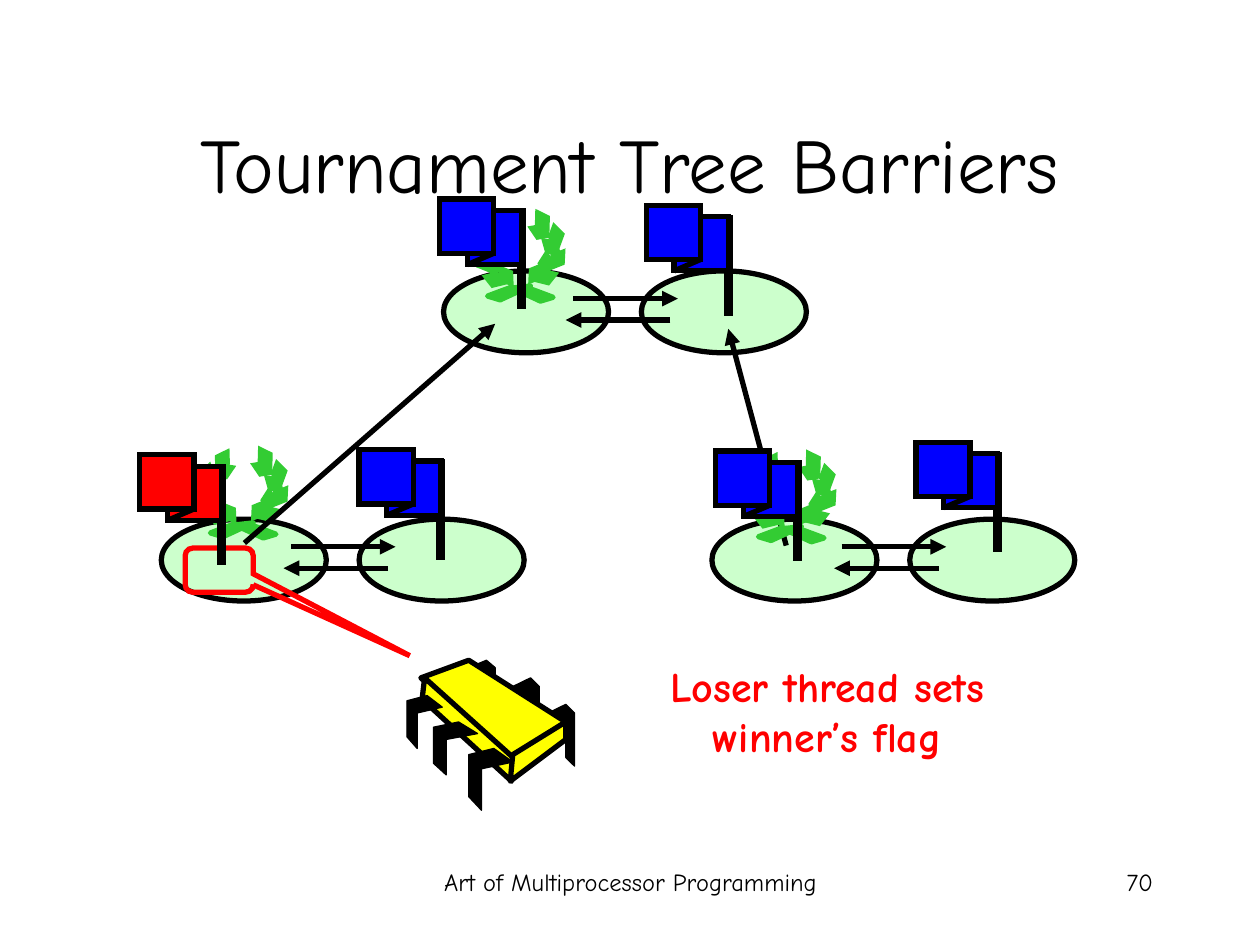
from lxml import etree
from pptx import Presentation
from pptx.dml.color import RGBColor
from pptx.enum.shapes import MSO_CONNECTOR, MSO_SHAPE
from pptx.enum.text import MSO_ANCHOR, PP_ALIGN
from pptx.oxml.ns import qn
from pptx.util import Inches, Pt

ELLIPSE = MSO_SHAPE.OVAL
RECTANGLE = MSO_SHAPE.RECTANGLE
DIAMOND = MSO_SHAPE.DIAMOND
CALLOUT = MSO_SHAPE.ROUNDED_RECTANGULAR_CALLOUT
STRAIGHT = MSO_CONNECTOR.STRAIGHT
CENTER, RIGHT = PP_ALIGN.CENTER, PP_ALIGN.RIGHT
TOP, MIDDLE = MSO_ANCHOR.TOP, MSO_ANCHOR.MIDDLE

FONT = "Comic Neue"
COLORS = {
    "black": "000000", "red": "FF0000", "blue": "0000FF",
    "yellow": "FFFF00", "leaf": "33CC33", "node": "CCFFCC",
}

# Leaves are (left, top, rotation), measured from the wreath's origin.
RIGHT_LEAVES = [
    (0.49, 0.32, 0), (0.58, 0.29, 35.7), (0.53, 0.19, 311.6),
    (0.57, 0.1, 347.4), (0.44, 0.07, 293.1), (0.46, -0.02, 328.9),
    (0.41, 0.4, 35.3), (0.49, 0.43, 71),
]
LEFT_LEAVES = [(0.12, 0, 31.1), (0.17, 0.42, 324.7), (0.08, 0.45, 289)]
INNER_LEAF = (0.08, 0.33, 0)
OUTER_LEAF = (-0.01, 0.31, 324.3)
UPPER_LEAVES = [(0.04, 0.2, 48.4), (0, 0.12, 12.7), (0.13, 0.09, 66.9)]
RIBBON = [(0, 0), (0.18, 0.02), (0.34, 0.08), (0.24, 0.11), (0.11, 0.05)]

# Chip legs are outlined in a unit square, then placed as (left, top, width, height).
BACK_LEG = [(0, 0.14), (0.67, 0), (1, 0.14), (1, 1), (0.67, 0.86), (0.67, 0.29), (0, 0.43)]
FRONT_LEG = [(0.57, 0), (1, 0.22), (0.29, 0.33), (0.29, 1), (0, 0.78), (0, 0.1)]
BACK_LEGS = [(4.35, 5.59, 0.21, 0.49), (4.07, 5.38, 0.21, 0.49), (3.72, 5.24, 0.21, 0.42)]
FRONT_LEGS = [(3.72, 5.94, 0.35, 0.49), (3.44, 5.73, 0.35, 0.42), (3.23, 5.52, 0.28, 0.42)]
CHIP_FACES = [
    [(3.72, 5.24), (4.49, 5.73), (4.06, 6.02), (3.34, 5.38)],
    [(3.37, 5.38), (4.07, 6.01), (4.06, 6.2), (3.35, 5.55)],
    [(4.49, 5.73), (4.49, 5.87), (4.05, 6.2), (4.07, 5.99)],
]


def color(name):
    return RGBColor.from_string(COLORS[name])


def paint(shape, fill, line, width):
    shape.shadow.inherit = False
    if fill:
        shape.fill.solid()
        shape.fill.fore_color.rgb = color(fill)
    else:
        shape.fill.background()
    shape.line.color.rgb = color(line)
    shape.line.width = Pt(width)


def add_preset(shapes, kind, left, top, width, height, fill, line="black", line_width=3):
    """Add a preset shape with sharp outline corners."""
    shape = shapes.add_shape(kind, Inches(left), Inches(top), Inches(width), Inches(height))
    paint(shape, fill, line, line_width)
    miter = etree.SubElement(shape.line._get_or_add_ln(), qn("a:miter"))
    miter.set("lim", "800000")
    return shape


def add_polygon(shapes, points, fill, line, line_width):
    corners = [(Inches(x), Inches(y)) for x, y in points]
    builder = shapes.build_freeform(*corners[0], scale=1.0)
    builder.add_line_segments(corners[1:], close=True)
    paint(builder.convert_to_shape(), fill, line, line_width)


def add_line(shapes, start, end, arrow=False):
    connector = shapes.add_connector(STRAIGHT, *(Inches(value) for value in start + end))
    connector.line.color.rgb = color("black")
    connector.line.width = Pt(3)
    if arrow:
        head = etree.SubElement(connector.line._get_or_add_ln(), qn("a:tailEnd"))
        head.set("type", "triangle")
    etree.SubElement(connector._element.spPr, qn("a:effectLst"))


def write_text(shape, text, size, align=CENTER, anchor=TOP, bold=False, fill="black"):
    frame = shape.text_frame
    frame.word_wrap = True
    frame.vertical_anchor = anchor
    paragraph = frame.paragraphs[0]
    paragraph.alignment = align
    run = paragraph.add_run()
    run.text = text
    run.font.name = FONT
    run.font.size = Pt(size)
    run.font.bold = bold
    run.font.color.rgb = color(fill)


def add_text(slide, text, left, top, width, height, **text_format):
    box = slide.shapes.add_textbox(Inches(left), Inches(top), Inches(width), Inches(height))
    write_text(box, text, **text_format)


def add_title(slide, text):
    title = slide.shapes.title
    title.left, title.top = Inches(0.75), Inches(0.67)
    title.width, title.height = Inches(8.5), Inches(1.25)
    write_text(title, text, size=44, anchor=MIDDLE)


def add_node_pair(slide, left, top):
    for offset in (1.57, 0):
        add_preset(slide.shapes, ELLIPSE, left + offset, top, 1.31, 0.65, "node")


def add_pair_arrows(slide, left, top):
    """Add the two opposite arrows between the nodes of a pair."""
    add_line(slide.shapes, (left + 1.03, top + 0.22), (left + 1.86, top + 0.22), arrow=True)
    add_line(slide.shapes, (left + 1.8, top + 0.39), (left + 0.97, top + 0.39), arrow=True)


def add_wreath(slide, left, top, extra_leaves):
    shapes = slide.shapes.add_group_shape().shapes
    for x, y, rotation in RIGHT_LEAVES + LEFT_LEAVES + extra_leaves:
        leaf = add_preset(shapes, DIAMOND, left + x, top + y, 0.09, 0.14, "leaf", "leaf")
        leaf.rotation = rotation
    for x, y, direction in ((0.41, 0.57, -1), (0.25, 0.58, 1)):
        ribbon = [(left + x + direction * dx, top + y + dy) for dx, dy in RIBBON]
        add_polygon(shapes, ribbon, "leaf", "leaf", 3)


def add_flag(slide, left, top, fill="blue"):
    shapes = slide.shapes.add_group_shape().shapes
    add_preset(shapes, RECTANGLE, left + 0.63, top + 0.09, 0.04, 0.77, "black", line_width=2.25)
    add_preset(shapes, RECTANGLE, left + 0.22, top + 0.09, 0.43, 0.43, fill)
    add_line(shapes, (left + 0.22, top + 0.52), (left + 0.43, top + 0.43))
    add_preset(shapes, RECTANGLE, left, top, 0.43, 0.43, fill)


def add_legs(shapes, outline, places):
    for left, top, width, height in places:
        points = [(left + x * width, top + y * height) for x, y in outline]
        add_polygon(shapes, points, "black", "black", 0.75)


def add_chip(slide):
    shapes = slide.shapes.add_group_shape().shapes
    add_legs(shapes, BACK_LEG, BACK_LEGS)
    for face in CHIP_FACES:
        add_polygon(shapes, face, "yellow", "black", 3)
    add_legs(shapes, FRONT_LEG, FRONT_LEGS)


def add_callout(slide):
    callout = add_preset(slide.shapes, CALLOUT, 1.47, 4.35, 0.54, 0.35, None, "red")
    for index, value in enumerate((2.8, 1.94, 0.17)):
        callout.adjustments[index] = value


def main():
    presentation = Presentation()
    presentation.slide_width, presentation.slide_height = Inches(10), Inches(7.5)
    slide = presentation.slides.add_slide(presentation.slide_layouts[5])

    add_title(slide, "Tournament Tree Barriers")
    add_text(slide, "Art of Multiprocessor Programming", 3.42, 6.83, 3.17, 0.5, size=14)
    add_text(slide, "70", 7.17, 6.83, 2.08, 0.5, size=14, align=RIGHT)

    pairs = [(1.28, 4.12), (5.65, 4.12), (3.52, 2.15)]
    for left, top in pairs:
        add_node_pair(slide, left, top)
    add_wreath(slide, 1.6, 3.58, [INNER_LEAF] + UPPER_LEAVES)
    for left, top in pairs:
        add_pair_arrows(slide, left, top)
    add_line(slide.shapes, (1.94, 4.31), (3.93, 2.57), arrow=True)
    add_line(slide.shapes, (6.24, 4.33), (5.78, 2.61), arrow=True)
    add_wreath(slide, 5.95, 3.61, [OUTER_LEAF])
    add_wreath(slide, 3.8, 1.7, [INNER_LEAF, OUTER_LEAF])

    add_chip(slide)
    add_callout(slide)
    add_flag(slide, 1.11, 3.61, "red")
    add_text(slide, "Loser thread sets winner’s flag", 4.96, 5.19, 3.21, 0.9,
             size=24, bold=True, fill="red")
    for left, top in [(5.68, 3.58), (7.27, 3.51), (5.13, 1.63), (3.49, 1.58), (2.85, 3.57)]:
        add_flag(slide, left, top)

    presentation.save("out.pptx")


if __name__ == "__main__":
    main()
